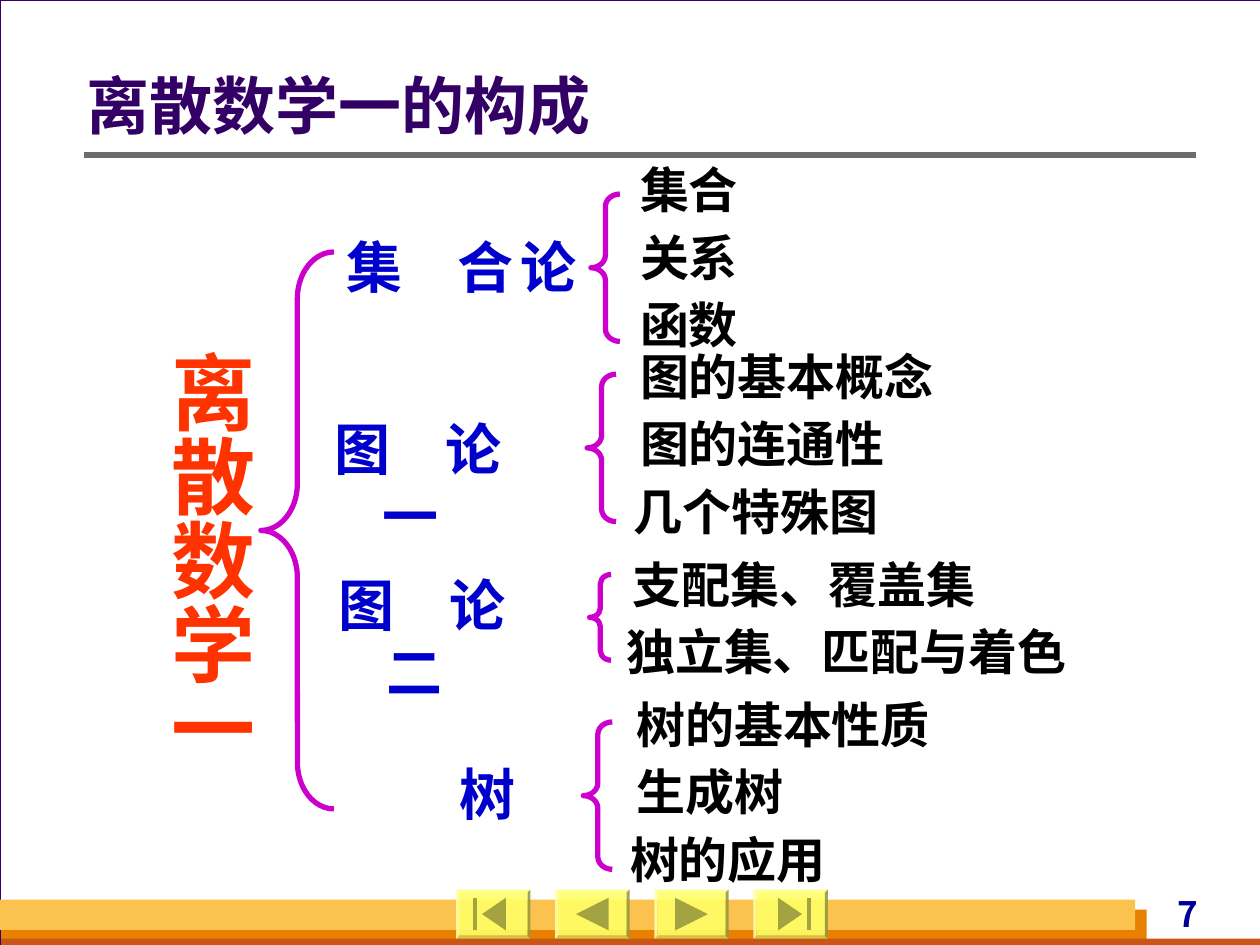
from dataclasses import dataclass

from lxml.etree import SubElement
from pptx import Presentation
from pptx.dml.color import RGBColor
from pptx.enum.shapes import MSO_CONNECTOR, MSO_SHAPE as Shape
from pptx.enum.text import MSO_ANCHOR as Anchor, PP_ALIGN as Align
from pptx.oxml.ns import qn
from pptx.util import Inches, Pt


@dataclass(frozen=True)
class Theme:
    paper: str = "FFFFFF"
    backdrop: str = "D8DADA"
    title: str = "330066"
    rule: str = "6B6B6B"
    amber: str = "FCC24F"
    orange: str = "E88000"
    rust: str = "C95616"
    button: str = "FFFF66"
    icon: str = "A3A341"
    brace: str = "CC00CC"
    subject: str = "FF3300"
    branch: str = "0000CC"
    topic: str = "000000"
    page: str = "000099"
    sans: str = "Noto Sans CJK SC"
    narrow: str = "Arial Narrow"
    title_size: int = 36
    subject_size: int = 48
    branch_size: int = 32
    topic_size: int = 28
    page_size: int = 20
    stroke: float = 3


THEME = Theme()
HANG = 0.38
TOPIC_PITCH = 0.535

BRANCHES = [
    dict(label="集\t合\t论", box=(2.65, 1.8, 2.17, 1.17), stops=(0.65, 1.31), margin=HANG,
         brace=(4.69, 1.54, 0.23, 1.17), topics=["集合", "关系", "函数"],
         topic_box=(5.08, 1.27, 1, 0.47), last_shift=0),
    dict(label="图\t论\v一", box=(2.56, 3.24, 2.15, 1.17), stops=(0.85,), margin=HANG,
         brace=(4.66, 2.97, 0.23, 1.17), topics=["图的基本概念", "图的连通性", "几个特殊图"],
         topic_box=(5.08, 2.75, 2.75, 0.47), last_shift=-0.05),
    dict(label="图\t论\v二", box=(2.59, 4.48, 2.05, 1.17), stops=(0.75,), margin=HANG,
         brace=(4.68, 4.56, 0.17, 0.68), topics=["支配集、覆盖集", "独立集、匹配与着色"],
         topic_box=(5.02, 4.4, 3.87, 0.47), last_shift=-0.05),
    dict(label="树", box=(2.54, 5.98, 2.18, 1.17), stops=(), margin=1.01,
         brace=(4.63, 5.73, 0.23, 1.17), topics=["树的基本性质", "生成树", "树的应用"],
         topic_box=(5.05, 5.51, 2.75, 0.47), last_shift=-0.05),
]


def inches(box):
    return [Inches(length) for length in box]


def paint(shape, fill=None, line=None, width=THEME.stroke):
    shape.shadow.inherit = False
    if fill:
        shape.fill.solid()
        shape.fill.fore_color.rgb = RGBColor.from_string(fill)
    else:
        shape.fill.background()
    if line:
        shape.line.color.rgb = RGBColor.from_string(line)
        shape.line.width = Pt(width)
    else:
        shape.line.fill.background()


def write(frame, text, size, color, face, inset=(0, 0, 0, 0), anchor=Anchor.TOP,
          paragraph_format=None, margin=0, first=0, stops=()):
    left, top, right, bottom = inches(inset)
    frame_format = dict(word_wrap=True, vertical_anchor=anchor, margin_left=left,
                        margin_top=top, margin_right=right, margin_bottom=bottom)
    for name, value in frame_format.items():
        setattr(frame, name, value)
    paragraph = frame.paragraphs[0]
    paragraph.text = text
    properties = paragraph._p.get_or_add_pPr()
    properties.set("marL", str(Inches(margin)))
    properties.set("indent", str(Inches(first)))
    if stops:
        tab_list = SubElement(properties, qn("a:tabLst"))
        for stop in stops:
            SubElement(tab_list, qn("a:tab"), pos=str(Inches(stop)), algn="l")
    for name, value in (paragraph_format or {}).items():
        setattr(paragraph, name, value)
    for run in paragraph.runs:
        for name, value in dict(name=face, size=Pt(size), bold=True).items():
            setattr(run.font, name, value)
        run.font.color.rgb = RGBColor.from_string(color)
        SubElement(run._r.get_or_add_rPr(), qn("a:ea"), typeface=face)


def add_brace(slide, box, curve):
    brace = slide.shapes.add_shape(Shape.LEFT_BRACE, *inches(box))
    brace.adjustments[0] = curve
    paint(brace, line=THEME.brace)


def add_icon(slide, points):
    corners = [tuple(inches(point)) for point in points]
    builder = slide.shapes.build_freeform(*corners[0], scale=1.0)
    builder.add_line_segments(corners[1:], close=True)
    paint(builder.convert_to_shape(), THEME.icon)


def add_button(slide, box, direction, barred):
    left, top, width, height = box
    button = slide.shapes.add_shape(Shape.BEVEL, *inches(box))
    button.adjustments[0] = 0.06
    paint(button, THEME.button)
    color = button.fill._xPr.find(qn("a:solidFill"))[0]
    SubElement(color, qn("a:alpha"), val="90000")
    center, middle = left + width / 2, top + height / 2
    base, tip = (0.1, 0.09) if barred else (0.13, 0.13)
    base_x, tip_x = center - direction * base, center + direction * tip
    low, high = middle - 0.13, middle + 0.13
    if barred:
        bar_x = center + direction * 0.13
        edge_x = bar_x + direction * 0.03
        add_icon(slide, [(bar_x, low), (edge_x, low), (edge_x, high), (bar_x, high)])
    add_icon(slide, [(base_x, low), (tip_x, middle), (base_x, high)])


def add_frame(slide, box):
    left, top, width, height = box
    page = slide.shapes.add_shape(Shape.RECTANGLE, *inches(box))
    paint(page, THEME.paper, THEME.title, 0.75)
    bands = [((0.01, 7.22, 9.09, 0.28), THEME.orange),
             ((0.01, 7.45, 10, 0.08), THEME.rust),
             ((0, 7.14, 9.01, 0.24), THEME.amber)]
    for (x, y, band_width, band_height), color in bands:
        band = slide.shapes.add_shape(
            Shape.RECTANGLE, *inches((left + x, top + y, band_width, band_height)))
        paint(band, color)
    number = slide.shapes.add_textbox(*inches((left + 8.94, top + 7.08, 0.98, 0.33)))
    write(number.text_frame, "7", THEME.page_size, THEME.page, THEME.sans,
          inset=(0.04, 0, 0.04, 0), paragraph_format=dict(alignment=Align.CENTER))


def add_navigation(slide, box):
    left, top, width, height = box
    button_width = 0.59
    pitch = (width - button_width) / 3
    buttons = [(-1, True), (-1, False), (1, False), (1, True)]
    for index, (direction, barred) in enumerate(buttons):
        add_button(slide, (left + index * pitch, top, button_width, height), direction, barred)


def add_heading(slide, box):
    title = slide.shapes.title
    title.left, title.top, title.width, title.height = inches(box)
    write(title.text_frame, "离散数学一的构成", THEME.title_size, THEME.title, THEME.sans,
          inset=(0, 0.05, 0.1, 0.05), anchor=Anchor.MIDDLE,
          paragraph_format=dict(alignment=Align.LEFT, line_spacing=0.9))
    rule = slide.shapes.add_connector(MSO_CONNECTOR.STRAIGHT, *inches((0.67, 1.23, 9.49, 1.23)))
    rule.line.color.rgb = RGBColor.from_string(THEME.rule)
    rule.line.width = Pt(THEME.stroke)
    SubElement(rule._element.spPr, qn("a:effectLst"))


def add_subject(slide, box):
    subject = slide.shapes.add_textbox(*inches(box))
    write(subject.text_frame, "离散数学一", THEME.subject_size, THEME.subject, THEME.sans,
          paragraph_format=dict(alignment=Align.JUSTIFY, line_spacing=0.9))
    subject.text_frame._txBody.bodyPr.set("vert", "eaVert")


def add_branch(slide, label, box, stops, margin, brace, topics, topic_box, last_shift):
    branch = slide.shapes.add_textbox(*inches(box))
    write(branch.text_frame, label, THEME.branch_size, THEME.branch, THEME.narrow,
          inset=(0.1, 0.05, 0.1, 0.05), margin=margin,
          first=-HANG if stops else 0, stops=stops)
    add_brace(slide, brace, 0.43)
    left, top, width, height = topic_box
    for index, name in enumerate(topics):
        shift = last_shift if name == topics[-1] else 0
        topic = slide.shapes.add_textbox(
            *inches((left + shift, top + index * TOPIC_PITCH, width, height)))
        write(topic.text_frame, name, THEME.topic_size, THEME.topic, THEME.narrow,
              margin=HANG, first=-HANG)


def main():
    deck = Presentation()
    deck.slide_width, deck.slide_height = inches((10, 7.5))
    slide = deck.slides.add_slide(deck.slide_layouts[5])
    slide.background.fill.solid()
    slide.background.fill.fore_color.rgb = RGBColor.from_string(THEME.backdrop)
    add_frame(slide, (0, 0, 10.01, 7.5))
    add_navigation(slide, (3.62, 7.06, 2.95, 0.39))
    add_heading(slide, (0.69, 0.47, 8.27, 0.79))
    slide.shapes._spTree.append(slide.shapes.title._element)
    add_subject(slide, (1.26, 2.78, 0.72, 3.35))
    add_brace(slide, (2.07, 2, 0.58, 4.42), 0.64)
    for branch in BRANCHES:
        add_branch(slide, **branch)
    deck.save("out.pptx")


if __name__ == "__main__":
    main()
